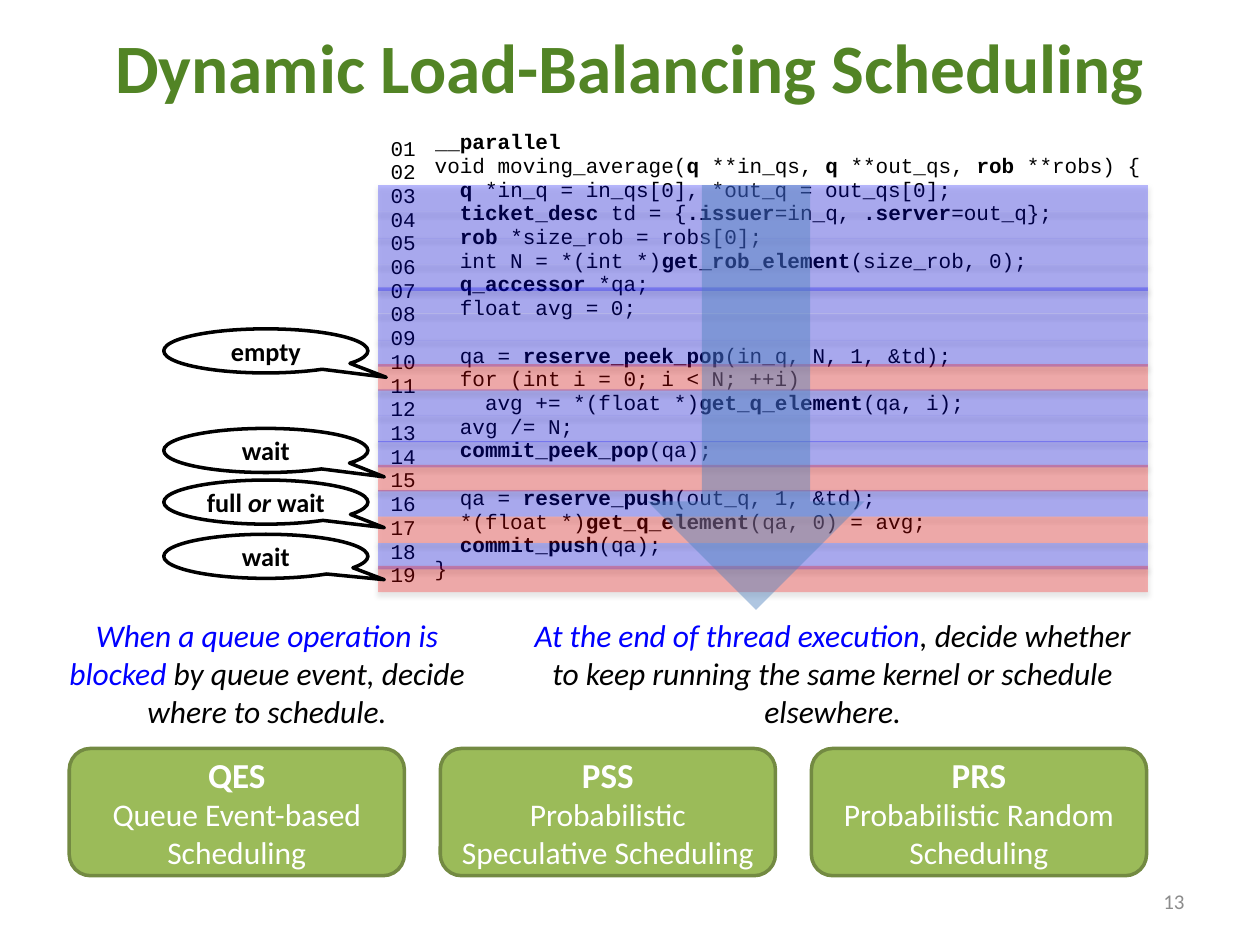
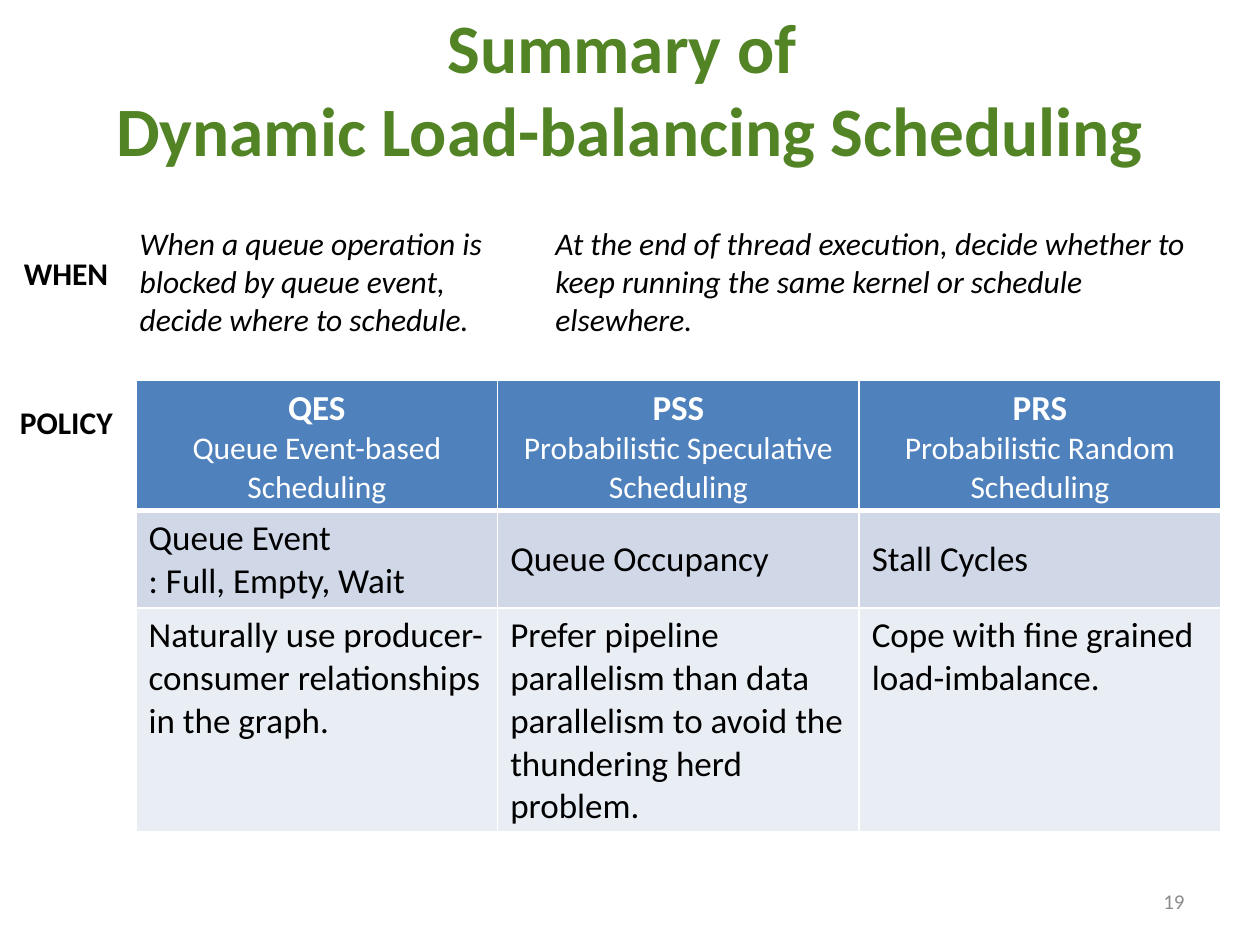
"""Build two slides on dynamic load-balancing scheduling."""
from dataclasses import dataclass, field
from typing import Any, NamedTuple

from lxml.etree import SubElement
from pptx import Presentation
from pptx.dml.color import RGBColor
from pptx.enum.shapes import MSO_SHAPE as Shape
from pptx.enum.text import MSO_ANCHOR as Anchor, MSO_AUTO_SIZE as AutoSize, PP_ALIGN as Align
from pptx.oxml.ns import qn
from pptx.util import Inches, Pt

COLUMNS, ROWS = 100, 75
SLIDE_WIDTH, SLIDE_HEIGHT = Inches(10), Inches(7.5)

BLACK, WHITE, GRAY = "000000", "FFFFFF", "8C8C8C"
BLUE, RED = "0000FF", "FF0000"
TITLE_GREEN, BOX_GREEN, BOX_EDGE = "528425", "9BBB59", "738A42"
HEADER_BLUE, ROW_DARK, ROW_LIGHT = "4F81BD", "D0D8E8", "E9EDF4"

Format = dict[str, Any]


def font_format(size: float, color: str = BLACK, name: str = "Calibri", **extra: Any) -> Format:
    """Collect the font values of a piece of text."""
    return {"name": name, "size": Pt(size), "color": color, **extra}


TITLE = font_format(39.6, TITLE_GREEN, bold=True)
NUMBER = font_format(12, GRAY)
CODE = font_format(12, name="Courier New", bold=False)
CALLOUT = font_format(15, bold=True)
TRIGGER = font_format(18, italic=True)
LABEL = font_format(18, bold=True)
POLICY_NAME = font_format(20, WHITE, bold=True)
POLICY_TEXT = font_format(18, WHITE, bold=False)
BODY = font_format(20, bold=False)


class Box(NamedTuple):
    """Place on the slide in grid columns and rows."""
    left: float
    top: float
    width: float
    height: float

    def lengths(self) -> tuple[int, int, int, int]:
        """Turn the grid place into slide lengths."""
        return across(self.left), down(self.top), across(self.width), down(self.height)


@dataclass
class Line:
    """One paragraph, in which bars enclose the parts that take the marked format."""
    text: str
    font: Format
    marked: Format = field(default_factory=dict)
    align: Align = Align.LEFT


class Callout(NamedTuple):
    """Speech bubble with the tip of its tail."""
    text: str
    top: float
    tip_x: float
    tip_y: float


class Policy(NamedTuple):
    """Scheduling policy with its table entries."""
    acronym: str
    name: str
    input: tuple[str, ...]
    benefit: str

    def heading(self) -> list[Line]:
        """Give the centred two-part heading."""
        return [Line(self.acronym, POLICY_NAME, align=Align.CENTER),
                Line(self.name, POLICY_TEXT, align=Align.CENTER)]


POLICIES = [
    Policy("QES", "Queue Event-based Scheduling", ("Queue Event", ": Full, Empty, Wait"),
           "Naturally use producer-consumer relationships in the graph."),
    Policy("PSS", "Probabilistic Speculative Scheduling", ("Queue Occupancy",),
           "Prefer pipeline parallelism than data parallelism to avoid the thundering herd problem."),
    Policy("PRS", "Probabilistic Random Scheduling", ("Stall Cycles",),
           "Cope with fine grained load-imbalance."),
]
BLOCKED = "|When a queue operation is blocked| by queue event, decide where to schedule."
FINISHED = ("|At the end of thread execution|, decide whether to keep running "
            "the same kernel or schedule elsewhere.")
CALLOUTS = [
    Callout("empty", 26.1, 0.59, 0.6),
    Callout("wait", 34, 0.58, 0.6),
    Callout("full |or| wait", 38.1, 0.58, 0.58),
    Callout("wait", 42.4, 0.58, 0.53),
]
BAND_TOPS = {
    BLUE: (14.7, 16.8, 18.9, 21, 22.8, 24.9, 27, 30.9, 33, 35, 38.9, 43.1),
    RED: (28.9, 36.9, 41, 44.9),
}
SOURCE = """|__parallel|
void moving_average(|q| **in_qs, |q| **out_qs, |rob| **robs) {
  |q| *in_q = in_qs[0], *out_q = out_qs[0];
  |ticket_desc |td = {|.issuer|=in_q, |.server|=out_q};
  |rob| *size_rob = robs[0];
  int N = *(int *)|get_rob_element|(size_rob, 0);
  |q_accessor| *qa;
  float avg = 0;

  qa = |reserve_peek_pop|(in_q, N, 1, &td);
  for (int i = 0; i < N; ++i)
    avg += *(float *)|get_q_element|(qa, i);
  avg /= N;
  |commit_peek_pop|(qa);

  qa = |reserve_push|(out_q, 1, &td);
  *(float *)|get_q_element|(qa, 0) = avg;
  |commit_push|(qa);
}""".splitlines()


def across(columns: float) -> int:
    """Give the width of some grid columns."""
    return round(SLIDE_WIDTH * columns / COLUMNS)


def down(rows: float) -> int:
    """Give the height of some grid rows."""
    return round(SLIDE_HEIGHT * rows / ROWS)


def rgb(color: str) -> RGBColor:
    """Turn a hex string into a colour."""
    return RGBColor.from_string(color)


def set_all(target: Any, values: Format) -> None:
    """Set attributes from a dict, with colours given as hex strings."""
    for name, value in values.items():
        if name == "color":
            target.color.rgb = rgb(value)
        else:
            setattr(target, name, value)


def add_element(parent: Any, tag: str, **attributes: Any) -> Any:
    """Append an XML element."""
    return SubElement(parent, qn(tag), {name: str(value) for name, value in attributes.items()})


def write(frame: Any, lines: list[Line]) -> None:
    """Fill a text frame with paragraphs."""
    for index, line in enumerate(lines):
        paragraph = frame.paragraphs[0] if index == 0 else frame.add_paragraph()
        paragraph.alignment = line.align
        if not line.text:
            end = add_element(paragraph._p, "a:endParaRPr", sz=round(line.font["size"].pt * 100))
            add_element(end, "a:latin", typeface=line.font["name"])
        for part, text in enumerate(line.text.split("|")):
            if text:
                add_run(paragraph, text, line.font | (line.marked if part % 2 else {}))


def add_run(paragraph: Any, text: str, font: Format) -> None:
    """Add text in one format, breaking lines at newlines."""
    for index, piece in enumerate(text.split("\n")):
        if index:
            paragraph.add_line_break()
        run = paragraph.add_run()
        run.text = piece
        set_all(run.font, font)


def add_text(slide: Any, box: Box, line: Line, **frame_values: Any) -> None:
    """Add a text box of one paragraph."""
    frame = slide.shapes.add_textbox(*box.lengths()).text_frame
    set_all(frame, {"word_wrap": True, **frame_values})
    write(frame, [line])


def add_figure(slide: Any, kind: Shape, box: Box, fill: str, edge: str = "",
               opacity: int = 100) -> Any:
    """Add a flat preset shape."""
    shape = slide.shapes.add_shape(kind, *box.lengths())
    shape.shadow.inherit = False
    shape.fill.solid()
    shape.fill.fore_color.rgb = rgb(fill)
    if opacity < 100:
        add_element(shape._element.spPr.find(qn("a:solidFill"))[0], "a:alpha", val=opacity * 1000)
    if edge:
        set_all(shape.line, {"color": edge, "width": Pt(2)})
    else:
        shape.line.fill.background()
    set_all(shape.text_frame, {"word_wrap": True, "vertical_anchor": Anchor.MIDDLE})
    return shape


def add_band(slide: Any, top: float, color: str) -> None:
    """Add a see-through code band with a soft shadow."""
    shape = add_figure(slide, Shape.RECTANGLE, Box(30, top, 61.1, 2.1), color, opacity=27)
    shadow = add_element(shape._element.spPr.find(qn("a:effectLst")), "a:outerShdw",
                         blurRad=Pt(3.1), dist=Pt(1.8), dir=90 * 60000, rotWithShape=0)
    add_element(add_element(shadow, "a:srgbClr", val=BLACK), "a:alpha", val=35000)


def add_grid(slide: Any, box: Box, widths: list[float], heights: list[float]) -> Any:
    """Add a table without banded style."""
    table = slide.shapes.add_table(len(heights), len(widths), *box.lengths()).table
    set_all(table, {"first_row": False, "horz_banding": False})
    for column, width in zip(table.columns, widths):
        column.width = across(width)
    for row, height in zip(table.rows, heights):
        row.height = down(height)
    return table


def fill_cell(cell: Any, lines: list[Line], fill: str = "", bottom: float = 1,
              **values: Any) -> None:
    """Give a cell white borders, a fill and text."""
    properties = cell._tc.get_or_add_tcPr()
    for side, width in {"L": 1, "R": 1, "T": 1, "B": bottom}.items():
        border = add_element(properties, f"a:ln{side}", w=Pt(width))
        add_element(add_element(border, "a:solidFill"), "a:srgbClr", val=WHITE)
    if fill:
        cell.fill.solid()
        cell.fill.fore_color.rgb = rgb(fill)
    else:
        cell.fill.background()
    set_all(cell, values)
    write(cell.text_frame, lines)


def start_slide(presentation: Any, title: str, title_top: float, number: int) -> Any:
    """Add a blank slide with title and slide number."""
    slide = presentation.slides.add_slide(presentation.slide_layouts[6])
    add_text(slide, Box(5, title_top, 90, 12.5), Line(title, TITLE, align=Align.CENTER),
             vertical_anchor=Anchor.MIDDLE)
    add_text(slide, Box(71.7, 69.5, 23.3, 4), Line(str(number), NUMBER, align=Align.RIGHT),
             vertical_anchor=Anchor.MIDDLE)
    return slide


def build_code_slide(presentation: Any) -> None:
    """Show the annotated code and the three policies."""
    slide = start_slide(presentation, "Dynamic Load-Balancing Scheduling", -1, 13)
    table = add_grid(slide, Box(30, 10.5, 61.8, 37), [4.5, 57.3], [37])
    fill_cell(table.cell(0, 0), [Line(f"{index:02}", CODE) for index in range(1, len(SOURCE) + 1)])
    margins = dict.fromkeys(("margin_left", "margin_top", "margin_right", "margin_bottom"), 0)
    fill_cell(table.cell(0, 1), [Line(text, CODE, {"bold": True}) for text in SOURCE], **margins)
    for color, tops in BAND_TOPS.items():
        for top in tops:
            add_band(slide, top, color)
    for callout in CALLOUTS:
        bubble = add_figure(slide, Shape.OVAL_CALLOUT, Box(13, callout.top, 16.2, 3.5), WHITE, BLACK)
        bubble.adjustments[0], bubble.adjustments[1] = callout.tip_x, callout.tip_y
        set_all(bubble.text_frame, margins)
        write(bubble.text_frame, [Line(callout.text, CALLOUT, {"italic": True}, Align.CENTER)])
    for text, left, width in ((FINISHED, 41.1, 50), (BLOCKED, 4.2, 34)):
        add_text(slide, Box(left, 48.4, width, 10.1),
                 Line(text, TRIGGER, {"color": BLUE}, Align.CENTER))
    for index, policy in enumerate(POLICIES):
        box = Box(5.5 + 29.45 * index, 59.4, 26.6, 10.1)
        shape = add_figure(slide, Shape.ROUNDED_RECTANGLE, box, BOX_GREEN, BOX_EDGE)
        write(shape.text_frame, policy.heading())
    add_figure(slide, Shape.DOWN_ARROW, Box(51.4, 14.7, 17.2, 33.7), HEADER_BLUE, opacity=45)


def build_summary_slide(presentation: Any) -> None:
    """Compare the policies in a table."""
    slide = start_slide(presentation, "Summary of \nDynamic Load-balancing Scheduling", 0.7, 19)
    for text, left, width in ((FINISHED, 43.1, 53.9), (BLOCKED, 10.1, 29.9)):
        add_text(slide, Box(left, 17.3, width, 10.1), Line(text.replace("|", ""), TRIGGER))
    for text, box in (("WHEN", Box(0.9, 19.7, 8.8, 4)), ("POLICY", Box(0.6, 31.5, 9.6, 4))):
        add_text(slide, box, Line(text, LABEL), word_wrap=False, auto_size=AutoSize.SHAPE_TO_FIT_TEXT)
    table = add_grid(slide, Box(10.8, 30.2, 86.1, 35.8), [28.7] * len(POLICIES), [10.3, 7.7, 17.8])
    for index, policy in enumerate(POLICIES):
        fill_cell(table.cell(0, index), policy.heading(), HEADER_BLUE, bottom=3)
        fill_cell(table.cell(1, index), [Line(text, BODY) for text in policy.input], ROW_DARK,
                  vertical_anchor=Anchor.MIDDLE)
        fill_cell(table.cell(2, index), [Line(policy.benefit, BODY)], ROW_LIGHT)


def main() -> None:
    """Build and save the presentation."""
    presentation = Presentation()
    set_all(presentation, {"slide_width": SLIDE_WIDTH, "slide_height": SLIDE_HEIGHT})
    build_code_slide(presentation)
    build_summary_slide(presentation)
    presentation.save("out.pptx")


if __name__ == "__main__":
    main()
